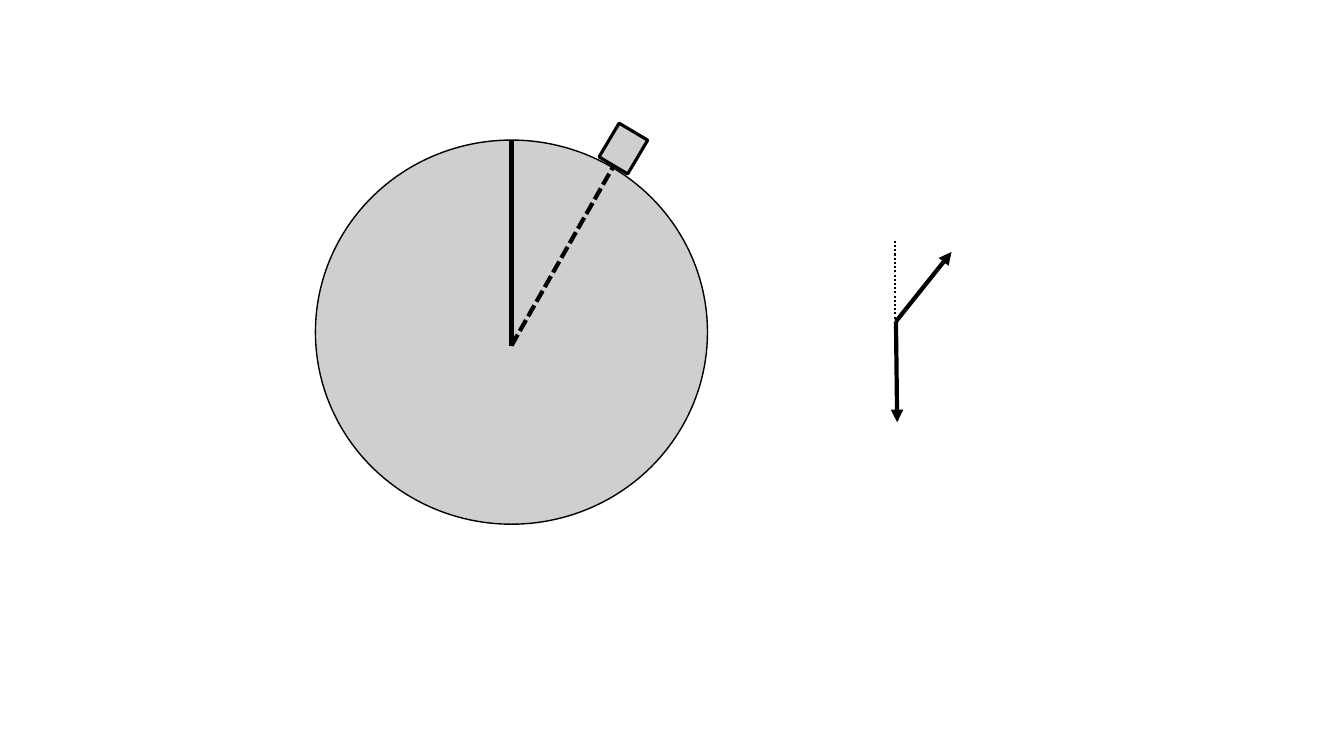
from lxml.etree import SubElement as Sub
from pptx import Presentation
from pptx.dml.color import RGBColor
from pptx.enum.dml import MSO_LINE as Dash
from pptx.enum.shapes import MSO_CONNECTOR as Link, MSO_SHAPE as Kind
from pptx.oxml.ns import qn
from pptx.util import Cm, Pt

BLACK = RGBColor(0x00, 0x00, 0x00)
GREY = RGBColor(0xD0, 0xCE, 0xCE)


def add_line(group, start, end, width=3, dash=None, arrow=False):
    ends = [Cm(value) for value in (*start, *end)]
    line = group.shapes.add_connector(Link.STRAIGHT, *ends)
    line.line.color.rgb = BLACK
    line.line.width = Pt(width)
    if dash:
        line.line.dash_style = dash
    if arrow:
        Sub(line.line._get_or_add_ln(), qn("a:tailEnd"), type="triangle")
    Sub(line._element.spPr, qn("a:effectLst"))


def add_solid(group, kind, box, width, turn=0):
    solid = group.shapes.add_shape(kind, *[Cm(value) for value in box])
    solid.shadow.inherit = False
    solid.fill.solid()
    solid.fill.fore_color.rgb = GREY
    solid.line.color.rgb = BLACK
    solid.line.width = Pt(width)
    solid.rotation = turn


def draw_forces(slide, left, top):
    group = slide.shapes.add_group_shape()
    joint = (left + 0.02, top + 2.03)
    add_line(group, joint, (left + 0.05, top + 4.57), arrow=True)
    add_line(group, joint, (left + 1.42, top + 0.28), arrow=True)
    add_line(group, (left, top + 1.96), (left, top), 1.5, Dash.ROUND_DOT)


def draw_ball(slide, left, top, width, height):
    group = slide.shapes.add_group_shape()
    add_solid(group, Kind.OVAL, (left, top, width, height), 1)
    add_solid(group, Kind.RECTANGLE, (left + 7.34, top - 0.28, 0.84, 0.99), 2.25, 30.7)
    mid = left + width / 2
    hub = (mid, top + 5.18)
    add_line(group, hub, (mid, top))
    add_line(group, hub, (mid + 2.58, top + 0.64), dash=Dash.SQUARE_DOT)


def main():
    deck = Presentation()
    deck.slide_width, deck.slide_height = Cm(33.87), Cm(19.05)
    slide = deck.slides.add_slide(deck.slide_layouts[6])
    draw_forces(slide, 22.56, 6.07)
    draw_ball(slide, 7.95, 3.53, 9.88, 9.68)
    deck.save("out.pptx")


if __name__ == "__main__":
    main()
